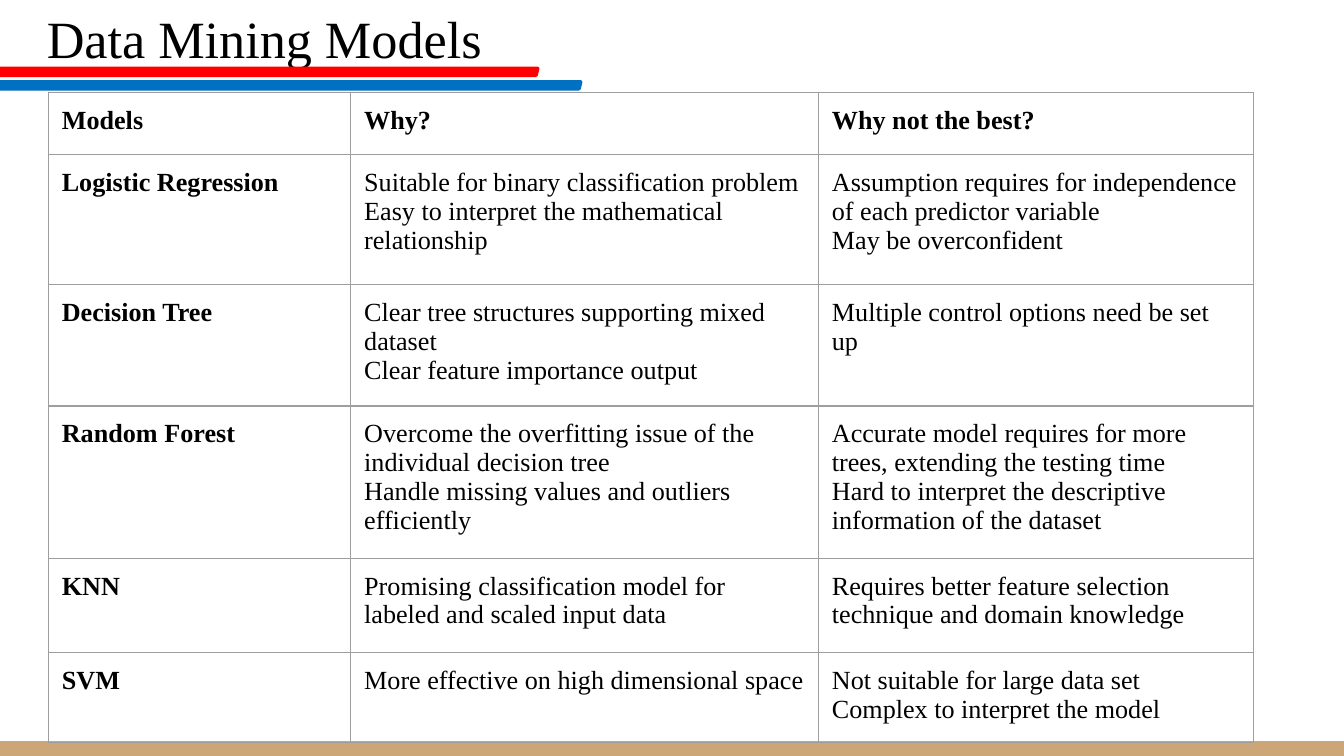
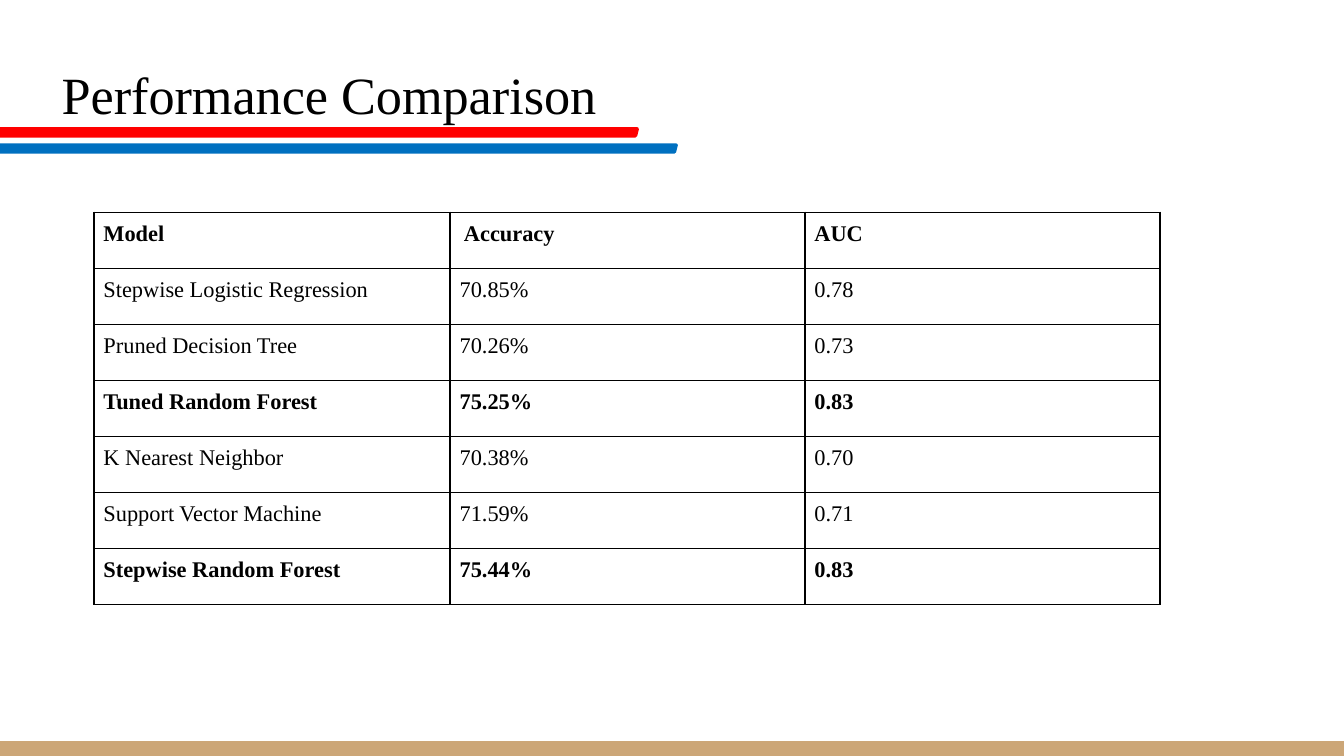
from lxml.etree import SubElement
from pptx import Presentation
from pptx.dml.color import RGBColor
from pptx.enum.shapes import MSO_SHAPE as Shape
from pptx.enum.text import MSO_ANCHOR as Anchor
from pptx.oxml.ns import qn
from pptx.util import Inches, Pt

FONT = "Times New Roman"
BLACK = RGBColor(0x00, 0x00, 0x00)
GREY = RGBColor(0x9E, 0x9E, 0x9E)
RED = RGBColor(0xFF, 0x00, 0x00)
BLUE = RGBColor(0x00, 0x70, 0xC0)
TAN = RGBColor(0xCC, 0xA6, 0x77)
SLIDE_WIDTH = 10
SLIDE_HEIGHT = SLIDE_WIDTH * 9 / 16
FOOTER_HEIGHT = 0.11
STRIPE_HEIGHT = 0.05

MODELS = [
    ["Models", "Why?", "Why not the best?"],
    ["Logistic Regression",
     "Suitable for binary classification problem\n"
     "Easy to interpret the mathematical relationship",
     "Assumption requires for independence of each predictor variable\n"
     "May be overconfident"],
    ["Decision Tree",
     "Clear tree structures supporting mixed dataset\n"
     "Clear feature importance output",
     "Multiple control options need be set up"],
    ["Random Forest",
     "Overcome the overfitting issue of the individual decision tree\n"
     "Handle missing values and outliers efficiently",
     "Accurate model requires for more trees, extending the testing time\n"
     "Hard to interpret the descriptive information of the dataset"],
    ["KNN",
     "Promising classification model for labeled and scaled input data",
     "Requires better feature selection technique and domain knowledge"],
    ["SVM",
     "More effective on high dimensional space",
     "Not suitable for large data set\nComplex to interpret the model"],
]

SCORES = [
    ["Model", " Accuracy", "AUC"],
    ["Stepwise Logistic Regression", "70.85%", "0.78"],
    ["Pruned Decision Tree", "70.26%", "0.73"],
    ["Tuned Random Forest", "75.25%", "0.83"],
    ["K Nearest Neighbor", "70.38%", "0.70"],
    ["Support Vector Machine", "71.59%", "0.71"],
    ["Stepwise Random Forest", "75.44%", "0.83"],
]
BEST_ROWS = (3, 6)


def inches(box):
    return [Inches(length) for length in box]


def write(frame, text, size, bold=False):
    frame.text = text
    for paragraph in frame.paragraphs:
        for run in paragraph.runs:
            run.font.name = FONT
            run.font.size = Pt(size)
            run.font.bold = bold
            run.font.color.rgb = BLACK
        # The paragraph end takes the text size, so that rows stay tight
        SubElement(paragraph._p, qn("a:endParaRPr"), sz=str(size * 100))


def set_margins(holder, inset):
    for side in ("left", "top", "right", "bottom"):
        setattr(holder, f"margin_{side}", Inches(inset))


def add_band(slide, kind, box, color, line_width=0):
    band = slide.shapes.add_shape(kind, *inches(box))
    band.shadow.inherit = False
    band.fill.solid()
    band.fill.fore_color.rgb = color
    if line_width:
        band.line.color.rgb = color
        band.line.width = Pt(line_width)
    else:
        band.line.fill.background()


def add_title(slide, box, text):
    title = slide.shapes.add_textbox(*inches(box)).text_frame
    title.word_wrap = True
    title.vertical_anchor = Anchor.BOTTOM
    set_margins(title, 0.1)
    write(title, text, 28)


def add_stripes(slide, red_span, blue_span):
    """Underline the title; each span is left, top, width."""
    for span, color in ((red_span, RED), (blue_span, BLUE)):
        add_band(slide, Shape.PARALLELOGRAM, (*span, STRIPE_HEIGHT), color, 2)


def set_borders(cell, color, width):
    properties = cell._tc.get_or_add_tcPr()
    for side in ("lnL", "lnR", "lnT", "lnB"):
        line = SubElement(properties, qn(f"a:{side}"), w=str(Pt(width)))
        fill = SubElement(line, qn("a:solidFill"))
        SubElement(fill, qn("a:srgbClr"), val=str(color))


def add_grid(slide, corner, widths, heights, rows, size, inset, border, is_bold):
    box = (*corner, sum(widths), sum(heights))
    table = slide.shapes.add_table(len(rows), len(widths), *inches(box)).table
    table.first_row = table.horz_banding = False
    for column, width in zip(table.columns, widths):
        column.width = Inches(width)
    for r, (row, height) in enumerate(zip(rows, heights)):
        table.rows[r].height = Inches(height)
        for c, text in enumerate(row):
            cell = table.cell(r, c)
            set_margins(cell, inset)
            set_borders(cell, *border)
            cell.fill.background()
            write(cell.text_frame, text, size, is_bold(r, c))


def new_slide(deck):
    slide = deck.slides.add_slide(deck.slide_layouts[6])
    footer = (0, SLIDE_HEIGHT - FOOTER_HEIGHT, SLIDE_WIDTH, FOOTER_HEIGHT)
    add_band(slide, Shape.RECTANGLE, footer, TAN)
    return slide


def models_slide(deck):
    slide = new_slide(deck)
    add_title(slide, (0.25, 0, 3.84, 0.61), "Data Mining Models")
    # Header row and first column stand out
    add_grid(slide, (0.36, 0.69), (2.25, 3.48, 3.24),
             (0.46, 0.97, 0.6, 1.03, 0.7, 0.57), MODELS, 14, 0.1,
             (GREY, 0.75), lambda r, c: r == 0 or c == 0)
    add_stripes(slide, (-0.09, 0.51, 4.09), (-0.27, 0.61, 4.59))


def scores_slide(deck):
    slide = new_slide(deck)
    add_title(slide, (0.36, 0.37, 4.49, 0.66), "Performance Comparison")
    # Header row and the best models stand out
    add_grid(slide, (0.7, 1.58), (2.65, 2.64, 2.64),
             [2.92 / len(SCORES)] * len(SCORES), SCORES, 12, 0.07,
             (BLACK, 1), lambda r, c: r == 0 or r in BEST_ROWS)
    add_stripes(slide, (-0.57, 0.96, 5.31), (-0.77, 1.08, 5.8))


def main():
    deck = Presentation()
    deck.slide_width = Inches(SLIDE_WIDTH)
    deck.slide_height = Inches(SLIDE_HEIGHT)
    models_slide(deck)
    scores_slide(deck)
    deck.save("out.pptx")


if __name__ == "__main__":
    main()
